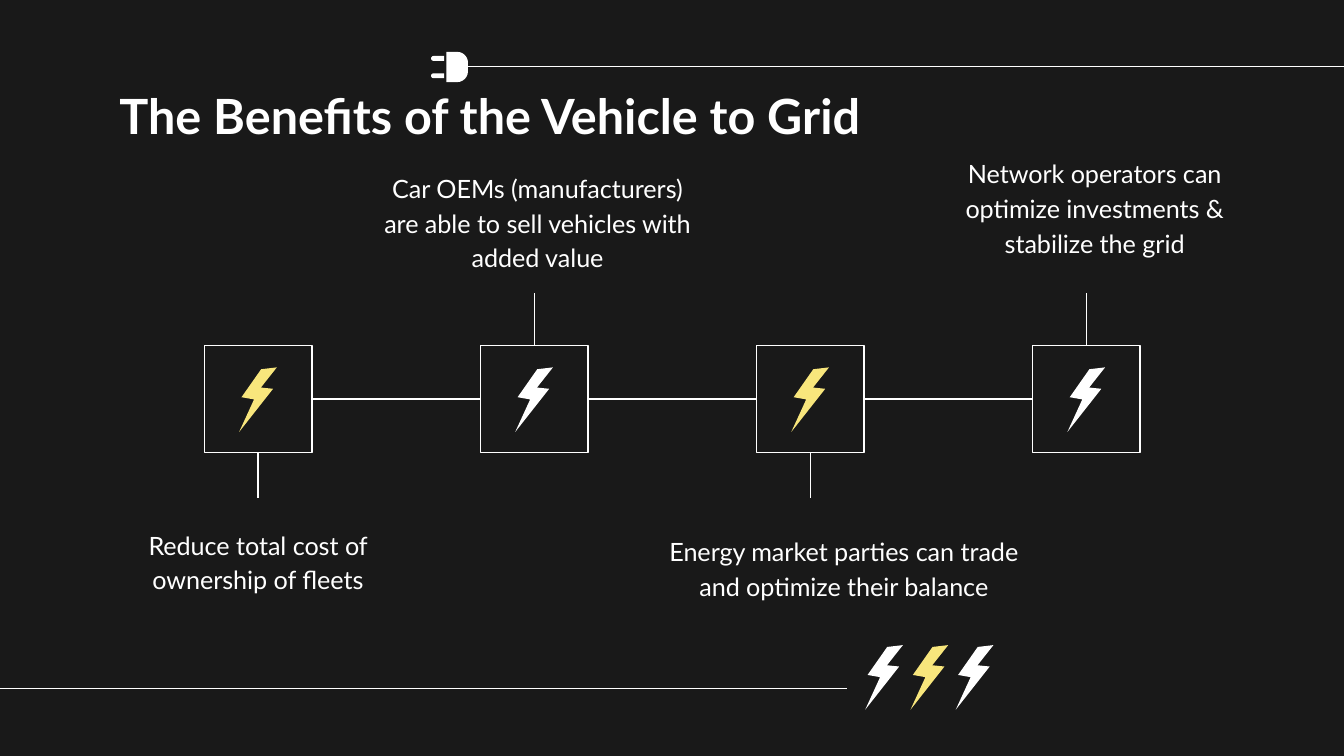
"""Build the slide on the benefits of vehicle to grid."""
from lxml.etree import SubElement
from pptx import Presentation
from pptx.dml.color import RGBColor
from pptx.enum.shapes import MSO_CONNECTOR, MSO_SHAPE
from pptx.enum.text import MSO_ANCHOR, PP_ALIGN
from pptx.oxml.ns import qn
from pptx.util import Pt

WHITE = RGBColor.from_string("FFFFFF")
YELLOW = RGBColor.from_string("F8E67C")
BACKGROUND = RGBColor.from_string("191919")

presentation = Presentation()
presentation.slide_width = Pt(720)
presentation.slide_height = Pt(405)
slide = presentation.slides.add_slide(presentation.slide_layouts[6])
slide.background.fill.solid()
slide.background.fill.fore_color.rgb = BACKGROUND


def add_text(text, left, top, width, height, size=13.5, bold=False, align=PP_ALIGN.CENTER,
             anchor=MSO_ANCHOR.TOP, line_spacing=1.15, space=12, indent=0):
    shape = slide.shapes.add_textbox(Pt(left), Pt(top), Pt(width), Pt(height))
    frame = shape.text_frame
    frame.word_wrap = True
    frame.vertical_anchor = anchor
    frame.margin_left = frame.margin_right = frame.margin_top = frame.margin_bottom = Pt(7.2)
    paragraph = frame.paragraphs[0]
    paragraph.alignment = align
    paragraph.line_spacing = line_spacing
    paragraph.space_before = paragraph.space_after = Pt(space)
    if indent:
        properties = paragraph._p.get_or_add_pPr()
        properties.set("marL", str(Pt(indent)))
        properties.set("indent", "0")
    run = paragraph.add_run()
    run.text = text
    run.font.name = "Lato"
    run.font.size = Pt(size)
    run.font.bold = bold
    run.font.color.rgb = WHITE


def add_line(start_x, start_y, end_x, end_y):
    connector = slide.shapes.add_connector(
        MSO_CONNECTOR.STRAIGHT, Pt(start_x), Pt(start_y), Pt(end_x), Pt(end_y))
    connector.line.color.rgb = WHITE
    connector.line.width = Pt(0.75)
    SubElement(connector._element.spPr, qn("a:effectLst"))
    return connector


add_line(-18.7, 369, 453.6, 369)
add_line(248, 35.8, 720, 35.8)

plug_parts = [
    (244.9, 35.9, 16.2, 11.6, 90),
    (234.4, 31.3, 2.6, 7, 270),
    (234.4, 40.6, 2.6, 7, 270),
]
for center_x, center_y, width, height, rotation in plug_parts:
    part = slide.shapes.add_shape(
        MSO_SHAPE.ROUND_2_SAME_RECTANGLE, Pt(center_x - width / 2), Pt(center_y - height / 2),
        Pt(width), Pt(height))
    part.adjustments[0] = 0.5
    part.rotation = rotation
    part.shadow.inherit = False
    part.fill.solid()
    part.fill.fore_color.rgb = WHITE
    part.line.fill.background()

square_size, square_top, square_pitch = 57.6, 185, 147.9
square_middle = square_top + square_size / 2
square_bottom = square_top + square_size
bolts = [(463.5 + 24.25 * index, 345.6, color) for index, color in enumerate([WHITE, YELLOW, WHITE])]
previous_square = None
for index in range(4):
    left = 109.5 + square_pitch * index
    center = left + square_size / 2
    square = slide.shapes.add_shape(
        MSO_SHAPE.RECTANGLE, Pt(left), Pt(square_top), Pt(square_size), Pt(square_size))
    square.shadow.inherit = False
    square.fill.background()
    square.line.color.rgb = WHITE
    square.line.width = Pt(0.75)
    if index % 2:
        stem = add_line(center, 157, center, square_top)
        stem.end_connect(square, 0)
    else:
        stem = add_line(center, square_bottom, center, 267)
        stem.begin_connect(square, 2)
    if previous_square is not None:
        link = add_line(left - square_pitch + square_size, square_middle, left, square_middle)
        link.begin_connect(previous_square, 3)
        link.end_connect(square, 1)
    previous_square = square
    bolts.append((left + 18.6, square_top + 11.8, WHITE if index % 2 else YELLOW))

bolt_outline = [(20.2, 0), (11.8, 1), (1.3, 16), (8, 17.2), (0, 34.6), (18.2, 11.5), (11.7, 10.8)]
for left, top, color in bolts:
    points = [(Pt(left + x), Pt(top + y)) for x, y in bolt_outline]
    builder = slide.shapes.build_freeform(*points[0])
    builder.add_line_segments(points[1:], close=True)
    bolt = builder.convert_to_shape()
    bolt.shadow.inherit = False
    bolt.fill.solid()
    bolt.fill.fore_color.rgb = color
    bolt.line.fill.background()

add_text("The Benefits of the Vehicle to Grid", 56.9, 38.9, 607, 45.4, size=26, bold=True,
         align=PP_ALIGN.LEFT, anchor=MSO_ANCHOR.MIDDLE, line_spacing=1.0, space=0)
add_text("Car OEMs (manufacturers) are able to sell vehicles with added value",
         157.7, 104.4, 224.6, 49, anchor=MSO_ANCHOR.BOTTOM, indent=36)
add_text("Network operators can optimize investments & stabilize the grid",
         464.4, 100.1, 208.1, 45.4, anchor=MSO_ANCHOR.BOTTOM, indent=36)
add_text("Reduce total cost of ownership of fleets", 47.5, 274.3, 181.4, 38.2)
add_text("Energy market parties can trade and optimize their balance", 350.6, 277.9, 203, 38.2)

presentation.save("out.pptx")
